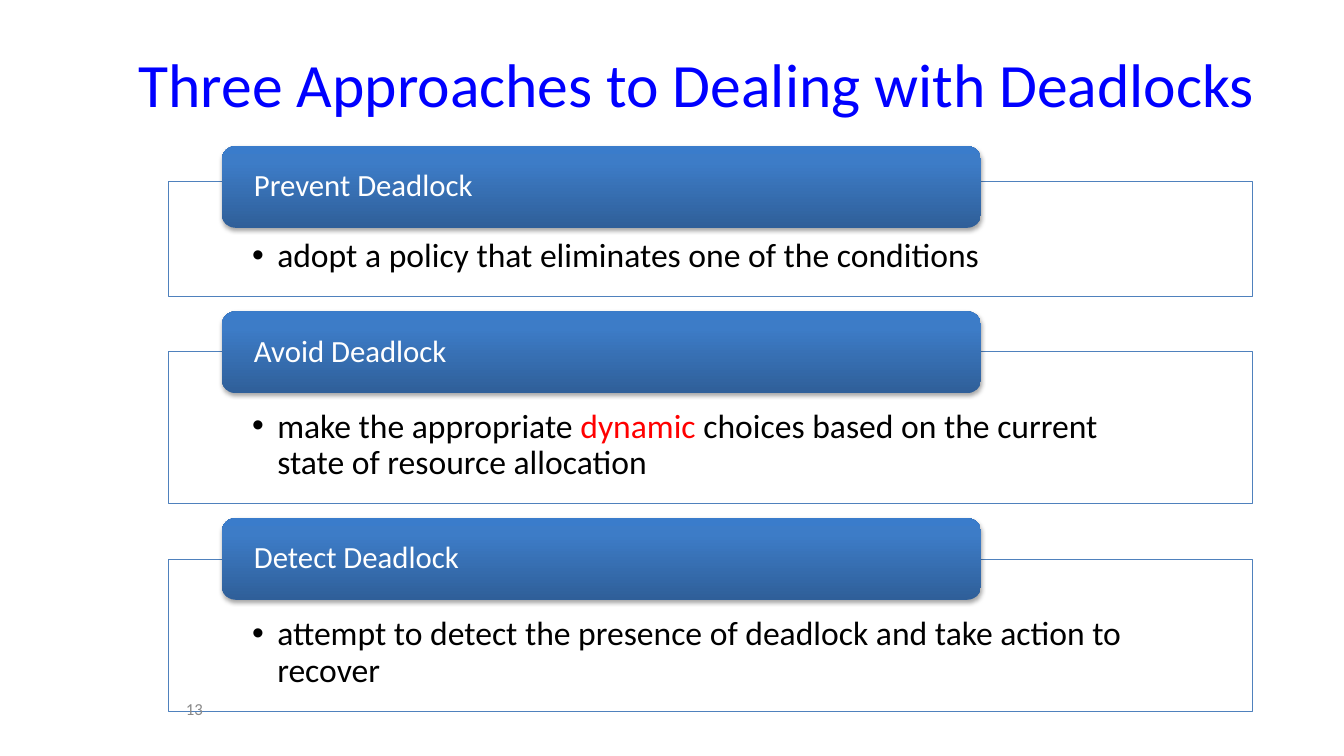
from copy import deepcopy

from lxml.etree import SubElement
from pptx import Presentation
from pptx.dml.color import RGBColor
from pptx.enum.shapes import MSO_SHAPE as Shape
from pptx.enum.text import MSO_ANCHOR as Anchor, PP_ALIGN as Align
from pptx.oxml.ns import qn
from pptx.util import Inches, Pt

TITLE_BLUE = RGBColor(0x00, 0x00, 0xFF)
BORDER_BLUE = RGBColor(0x4F, 0x81, 0xBD)
WHITE = RGBColor(0xFF, 0xFF, 0xFF)
BLACK = RGBColor(0x00, 0x00, 0x00)
RED = RGBColor(0xFF, 0x00, 0x00)
GRAY = RGBColor(0x89, 0x89, 0x89)
GRADIENT = [
    (0, RGBColor(0x2F, 0x5F, 0x99)),
    (0.8, RGBColor(0x3D, 0x7C, 0xC7)),
    (1, RGBColor(0x3A, 0x7C, 0xCB)),
]

# heading, heading top, panel top, panel height, description runs
APPROACHES = [
    ("Prevent Deadlock", 1.45, 1.8, 1.14,
     [("adopt a policy that eliminates one of the conditions", BLACK)]),
    ("Avoid Deadlock", 3.09, 3.49, 1.51,
     [("make the appropriate ", BLACK), ("dynamic", RED),
      (" choices based on the current state of resource allocation", BLACK)]),
    ("Detect Deadlock", 5.14, 5.55, 1.51,
     [("attempt to detect the presence of deadlock and take action to recover", BLACK)]),
]
PANEL_FRAME = {
    "margin_left": Inches(0.83), "margin_right": Inches(0.83),
    "margin_top": Inches(0.57), "margin_bottom": Inches(0.19),
    "vertical_anchor": Anchor.TOP, "word_wrap": True,
}
HEADING_FRAME = {
    "margin_left": Inches(0.28), "margin_right": Inches(0.28),
    "margin_top": 0, "margin_bottom": 0,
    "vertical_anchor": Anchor.MIDDLE, "word_wrap": True,
}
CENTERED_FRAME = {"vertical_anchor": Anchor.MIDDLE, "word_wrap": True}


def write(frame, frame_format, runs, size, align, line_spacing=None):
    """Format a text frame and fill its only paragraph with (text, color) runs."""
    for name, value in frame_format.items():
        setattr(frame, name, value)
    paragraph = frame.paragraphs[0]
    paragraph.alignment = align
    paragraph.line_spacing = line_spacing
    for text, color in runs:
        run = paragraph.add_run()
        run.text = text
        run.font.name = "Calibri"
        run.font.size = Pt(size)
        run.font.color.rgb = color
    return paragraph


presentation = Presentation()
presentation.slide_width = Inches(13.33)
presentation.slide_height = Inches(7.5)
slide = presentation.slides.add_slide(presentation.slide_layouts[5])

title = slide.shapes.title
title.left, title.top = Inches(0.75), Inches(0.23)
title.width, title.height = Inches(12.33), Inches(1.18)
write(title.text_frame, CENTERED_FRAME,
      [("Three Approaches to Dealing with Deadlocks", TITLE_BLUE)], 44, Align.CENTER)

for name, heading_top, panel_top, panel_height, description in APPROACHES:
    panel = slide.shapes.add_shape(Shape.RECTANGLE, Inches(1.67), Inches(panel_top),
                                   Inches(10.75), Inches(panel_height))
    panel.shadow.inherit = False
    panel.fill.solid()
    panel.fill.fore_color.rgb = WHITE
    panel_color = panel.fill._xPr.find(qn("a:solidFill"))[0]
    SubElement(panel_color, qn("a:alpha"), val="90000")
    panel.line.color.rgb = BORDER_BLUE
    panel.line.width = Pt(0.75)
    paragraph = write(panel.text_frame, PANEL_FRAME, description, 24, Align.LEFT, 0.9)
    properties = paragraph._p.get_or_add_pPr()
    properties.set("marL", str(Inches(0.25)))
    properties.set("indent", str(Inches(-0.25)))
    SubElement(properties, qn("a:buFont"), typeface="Arial")
    SubElement(properties, qn("a:buChar"), char="•")

    heading = slide.shapes.add_shape(Shape.ROUNDED_RECTANGLE, Inches(2.2),
                                     Inches(heading_top), Inches(7.53), Inches(0.81))
    heading.line.fill.background()
    heading.fill.gradient()
    heading.fill.gradient_angle = 90
    stop_list = heading._element.spPr.find(qn("a:gradFill")).find(qn("a:gsLst"))
    stop_list.append(deepcopy(stop_list[-1]))
    for stop, (position, color) in zip(heading.fill.gradient_stops, GRADIENT):
        stop.position = position
        stop.color.rgb = color
    heading.shadow.inherit = False
    effects = heading._element.spPr.find(qn("a:effectLst"))
    shadow = SubElement(effects, qn("a:outerShdw"), blurRad=str(Pt(3.1)),
                        dist=str(Pt(1.8)), dir="5400000", rotWithShape="0")
    shadow_color = SubElement(shadow, qn("a:srgbClr"), val="000000")
    SubElement(shadow_color, qn("a:alpha"), val="35000")
    write(heading.text_frame, HEADING_FRAME, [(name, WHITE)], 22, Align.LEFT, 0.9)

page_number = slide.shapes.add_textbox(Inches(0.33), Inches(6.83),
                                       Inches(1.78), Inches(0.4))
write(page_number.text_frame, CENTERED_FRAME, [("13", GRAY)], 12, Align.RIGHT)

presentation.save("out.pptx")
